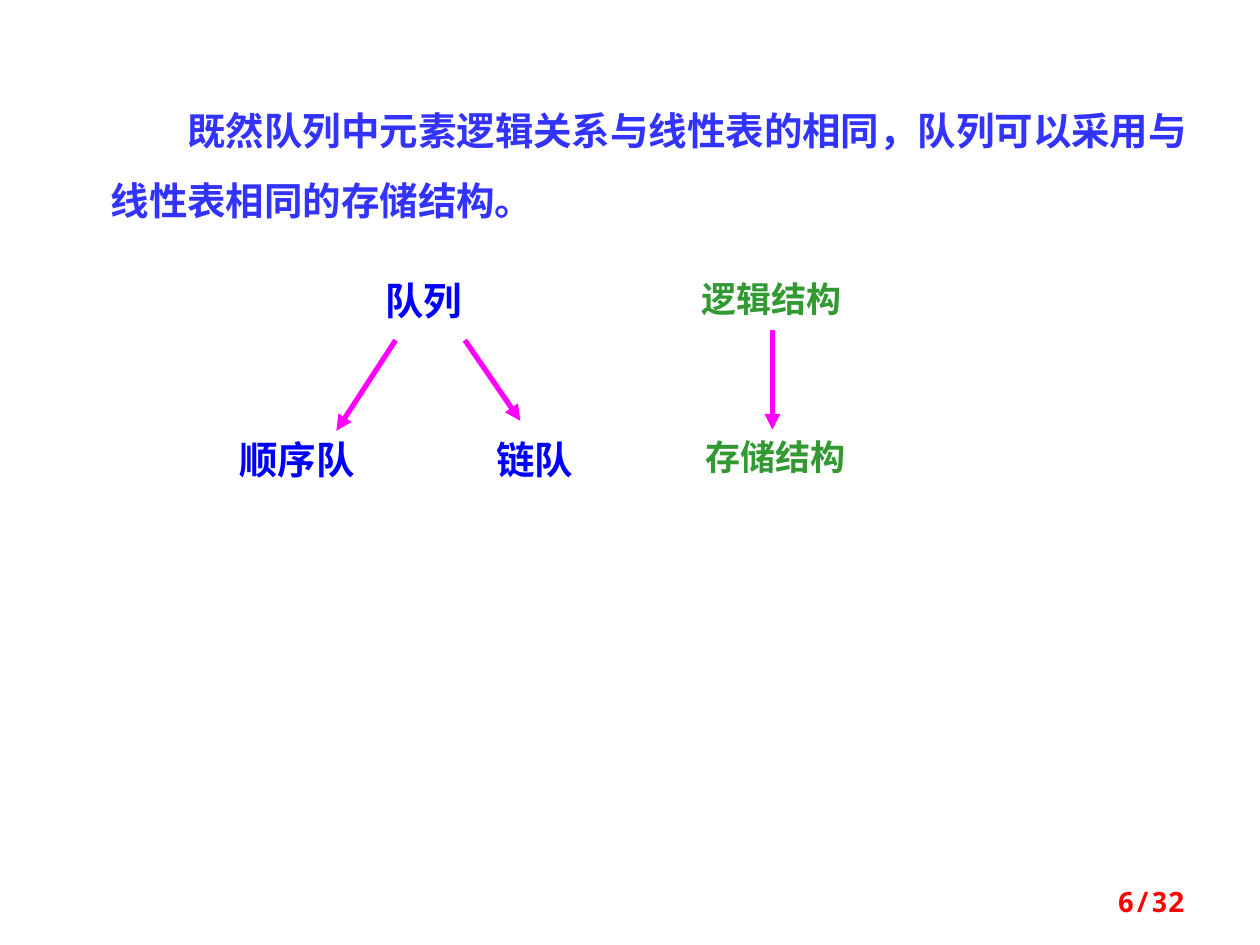
"""Build the slide on the storage structures of a queue."""
from lxml.etree import SubElement
from pptx import Presentation
from pptx.dml.color import RGBColor
from pptx.enum.shapes import MSO_CONNECTOR
from pptx.enum.text import MSO_ANCHOR, PP_ALIGN as Align
from pptx.oxml.ns import qn
from pptx.util import Inches, Pt

BLUE, GREEN, MAGENTA = "0000FF", "339933", "FF00FF"
SERIF = "Times New Roman"


def color(hex_string):
    """Turn a hex string into a colour."""
    return RGBColor.from_string(hex_string)


def add_text(slide, text, box, size, hex_string, align=Align.LEFT, font=SERIF):
    """Add a bold one-paragraph text box and return its shape."""
    shape = slide.shapes.add_textbox(*map(Inches, box))
    shape.text_frame.word_wrap = True
    shape.text_frame.text = text
    paragraph = shape.text_frame.paragraphs[0]
    paragraph.alignment = align
    run_font = paragraph.runs[0].font
    run_font.name, run_font.size, run_font.bold = font, Pt(size), True
    run_font.color.rgb = color(hex_string)
    return shape


presentation = Presentation()
presentation.slide_width, presentation.slide_height = Inches(10), Inches(7.5)
slide = presentation.slides.add_slide(presentation.slide_layouts[6])

statement = add_text(
    slide,
    "既然队列中元素逻辑关系与线性表的相同，队列可以采用与线性表相同的存储结构。",
    (0.78, 0.62, 8.83, 1.14), 22, "3333FF")
paragraph = statement.text_frame.paragraphs[0]
paragraph.line_spacing = 1.5
paragraph._p.get_or_add_pPr().set("indent", str(Pt(2 * 22)))

top_row, bottom_row = 2.15, 3.41
labels = [
    ("队列", 2.82, top_row, 1.09, 0.47, 22, BLUE, Align.CENTER),
    ("顺序队", 1.8, bottom_row, 1.65, 0.47, 22, BLUE, Align.LEFT),
    ("链队", 3.84, bottom_row, 1.18, 0.47, 22, BLUE, Align.LEFT),
    ("逻辑结构", 5.47, top_row, 1.48, 0.43, 20, GREEN, Align.LEFT),
    ("存储结构", 5.5, bottom_row, 1.57, 0.43, 20, GREEN, Align.LEFT),
]
for text, left, top, width, height, size, hex_string, align in labels:
    add_text(slide, text, (left, top, width, height), size, hex_string, align)

arrows = [
    (3.14, 2.7, 2.67, 3.42),
    (3.69, 2.7, 4.13, 3.34),
    (6.13, 2.62, 6.13, 3.41),
]
for ends in arrows:
    arrow = slide.shapes.add_connector(MSO_CONNECTOR.STRAIGHT, *map(Inches, ends))
    arrow.line.color.rgb = color(MAGENTA)
    arrow.line.width = Pt(3)
    SubElement(arrow.line._get_or_add_ln(), qn("a:tailEnd"), type="triangle")
    SubElement(arrow._element.spPr, qn("a:effectLst"))

page_number = add_text(slide, "6/32", (7.17, 6.95, 2.33, 0.4), 16, "FF0000",
                       Align.RIGHT, "Noto Sans Mono")
page_number.text_frame.vertical_anchor = MSO_ANCHOR.MIDDLE

presentation.save("out.pptx")
